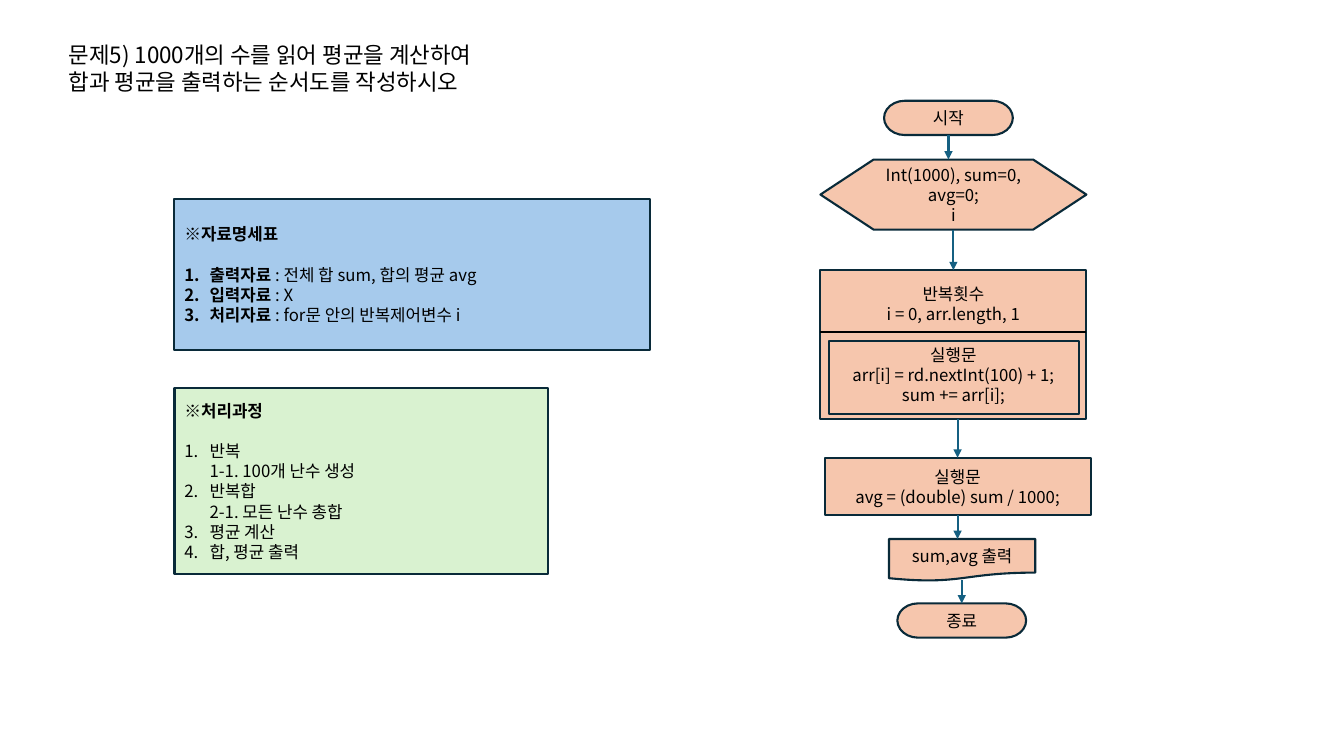
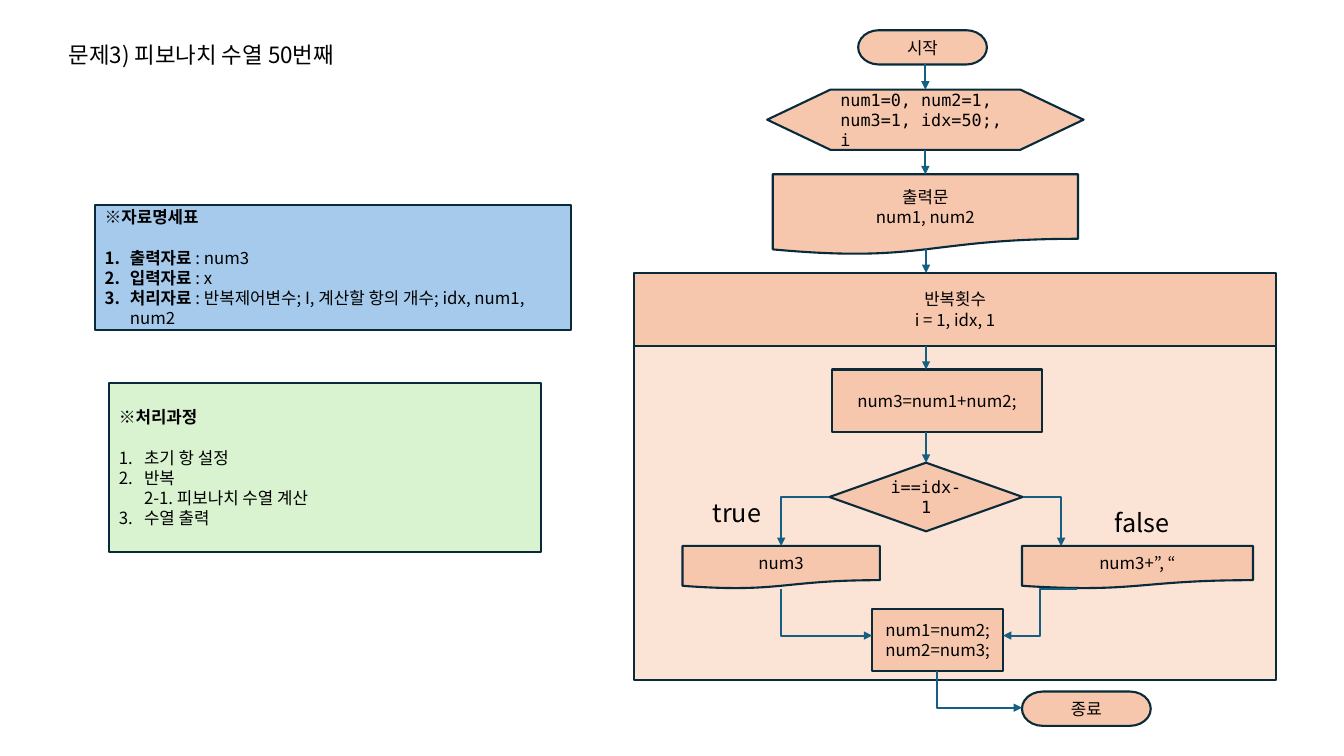
from dataclasses import dataclass

from lxml import etree
from pptx import Presentation
from pptx.dml.color import RGBColor
from pptx.enum.shapes import MSO_CONNECTOR, MSO_SHAPE
from pptx.enum.text import MSO_ANCHOR, MSO_AUTO_SIZE, PP_ALIGN
from pptx.oxml.ns import qn
from pptx.util import Pt

PROCESS = MSO_SHAPE.RECTANGLE
TERMINATOR = MSO_SHAPE.FLOWCHART_TERMINATOR
PREPARATION = MSO_SHAPE.FLOWCHART_PREPARATION
DOCUMENT = MSO_SHAPE.FLOWCHART_DOCUMENT
DECISION = MSO_SHAPE.FLOWCHART_DECISION
STRAIGHT = MSO_CONNECTOR.STRAIGHT
ELBOW = MSO_CONNECTOR.ELBOW
LEFT, CENTER = PP_ALIGN.LEFT, PP_ALIGN.CENTER
TOP, MIDDLE = MSO_ANCHOR.TOP, MSO_ANCHOR.MIDDLE
TOP_SIDE, BOTTOM_SIDE = 0, 2


@dataclass(frozen=True)
class Theme:
    text: RGBColor = RGBColor.from_string("000000")
    outline: RGBColor = RGBColor.from_string("092A39")
    arrow: RGBColor = RGBColor.from_string("156082")
    step: RGBColor = RGBColor.from_string("F6C6AD")
    loop_body: RGBColor = RGBColor.from_string("FBE3D6")
    data: RGBColor = RGBColor.from_string("A6CAEC")
    procedure: RGBColor = RGBColor.from_string("D9F2D0")
    font: str = "Noto Sans CJK KR"
    code_font: str = "DejaVu Sans Mono"
    title_size: float = 16
    label_size: float = 18
    body_size: float = 12
    line_width: float = 1.5
    blank_line: float = 14.5
    indent: float = 18
    terminator_width: float = 92
    terminator_height: float = 24.5


THEME = Theme()


def style_text(frame, size=THEME.body_size, font=THEME.font, align=LEFT, anchor=MIDDLE):
    frame.word_wrap = True
    frame.vertical_anchor = anchor
    for paragraph in frame.paragraphs:
        paragraph.alignment = align
        for line_break in paragraph._p.findall(qn("a:br")):
            etree.SubElement(line_break, qn("a:rPr"), sz=str(int(size * 100)))
        for run in paragraph.runs:
            run.font.size = Pt(size)
            run.font.color.rgb = THEME.text
            run.font.name = font
            etree.SubElement(run._r.get_or_add_rPr(), qn("a:ea"), typeface=font)


def add_title(slide, text, height):
    title = slide.shapes.title
    title.left, title.top = Pt(41.8), Pt(26)
    title.width, title.height = Pt(340), Pt(height)
    title.text_frame.text = text
    title.text_frame.auto_size = MSO_AUTO_SIZE.NONE
    style_text(title.text_frame, THEME.title_size, anchor=TOP)


def add_step(slide, kind, box, text="", fill=THEME.step, font=THEME.font, align=CENTER):
    step = slide.shapes.add_shape(kind, *map(Pt, box))
    step.shadow.inherit = False
    if fill is None:
        step.fill.background()
    else:
        step.fill.solid()
        step.fill.fore_color.rgb = fill
    step.line.color.rgb = THEME.outline
    step.line.width = Pt(THEME.line_width)
    step.text_frame.text = text
    style_text(step.text_frame, font=font, align=align)
    return step


def add_terminator(slide, left, top, text):
    box = (left, top, THEME.terminator_width, THEME.terminator_height)
    return add_step(slide, TERMINATOR, box, text)


def add_card(slide, box, fill, heading, items):
    card = add_step(slide, PROCESS, box, heading, fill, align=LEFT)
    frame = card.text_frame
    frame.paragraphs[0].runs[0].font.bold = True
    frame.paragraphs[0].space_after = Pt(THEME.blank_line)
    for label, detail in items:
        item = frame.add_paragraph()
        item.text = label or detail
        if label:
            item.runs[0].font.bold = True
            item.add_run().text = detail
        properties = item._p.get_or_add_pPr()
        properties.set("marL", str(Pt(THEME.indent)))
        properties.set("indent", str(-Pt(THEME.indent)))
        etree.SubElement(properties, qn("a:buAutoNum"), type="arabicPeriod")
    style_text(frame)


def add_branch_label(slide, left, top, text):
    label = slide.shapes.add_textbox(Pt(left), Pt(top), Pt(75), Pt(29))
    label.text_frame.text = text
    style_text(label.text_frame, THEME.label_size, anchor=TOP)


def add_line(slide, kind, start, end, color=THEME.arrow, arrowhead=True):
    line = slide.shapes.add_connector(kind, *map(Pt, (*start, *end)))
    line.line.color.rgb = color
    line.line.width = Pt(THEME.line_width)
    properties = line._element.spPr
    if arrowhead:
        etree.SubElement(properties.find(qn("a:ln")), qn("a:tailEnd"), type="triangle")
    etree.SubElement(properties, qn("a:effectLst"))
    return line


def add_down_arrow(slide, x, top, bottom, source=None, target=None):
    arrow = add_line(slide, STRAIGHT, (x, top), (x, bottom))
    if source is not None:
        arrow.begin_connect(source, BOTTOM_SIDE)
    if target is not None:
        arrow.end_connect(target, TOP_SIDE)


def add_corner_arrow(slide, start, end, down_first=False):
    arrow = add_line(slide, ELBOW, start, end)
    properties = arrow._element.spPr
    properties.find(qn("a:prstGeom")).set("prst", "bentConnector2")
    if down_first:
        across, down = end[0] - start[0], end[1] - start[1]
        arrow.left = Pt((start[0] + end[0] - down) / 2)
        arrow.top = Pt((start[1] + end[1] - across) / 2)
        arrow.width, arrow.height = Pt(down), Pt(across)
        transform = properties.find(qn("a:xfrm"))
        transform.set("rot", str(270 * 60000))
        transform.set("flipH", "1")


def build_average_slide(slide):
    add_title(slide, "문제5) 1000개의 수를 읽어 평균을 계산하여\n합과 평균을 출력하는 순서도를 작성하시오", 46)
    add_card(slide, (124.6, 142, 340, 108), THEME.data, "※자료명세표", [
        ("출력자료 ", ": 전체 합 sum, 합의 평균 avg"),
        ("입력자료 ", ": X"),
        ("처리자료 ", ": for문 안의 반복제어변수 i"),
    ])
    add_card(slide, (124.6, 277, 267, 133.2), THEME.procedure, "※처리과정", [
        ("", "반복\v1-1. 100개 난수 생성"),
        ("", "반복합\v2-1. 모든 난수 총합"),
        ("", "평균 계산"),
        ("", "합, 평균 출력"),
    ])

    start = add_terminator(slide, 631.5, 72, "시작")
    setup = add_step(slide, PREPARATION, (586, 114, 190, 50), "Int(1000), sum=0, avg=0;\ni")
    loop = add_step(slide, PROCESS, (586, 193, 190, 106),
                    "반복횟수\ni = 0, arr.length, 1\n실행문\narr[i] = rd.nextInt(100) + 1;\nsum += arr[i];")
    loop.text_frame.paragraphs[1].space_after = Pt(THEME.blank_line)
    add_line(slide, STRAIGHT, (586, 237), (776, 237), THEME.text, arrowhead=False)
    add_step(slide, PROCESS, (592, 243.5, 178.5, 52.5), fill=None)
    average = add_step(slide, PROCESS, (589, 327, 190, 41), "실행문\navg = (double) sum / 1000;")
    add_step(slide, DOCUMENT, (635, 385, 104.5, 30), "sum,avg 출력")
    end = add_terminator(slide, 641, 431, "종료")

    add_down_arrow(slide, 677.5, 96.5, 114, source=start)
    add_down_arrow(slide, 681, 164, 193, source=setup, target=loop)
    add_down_arrow(slide, 684, 299, 327, target=average)
    add_down_arrow(slide, 684, 368, 385, source=average)
    add_down_arrow(slide, 687, 414, 431, target=end)


def build_fibonacci_slide(slide):
    add_title(slide, "문제3) 피보나치 수열 50번째", 26.6)
    add_card(slide, (67.7, 146.2, 340, 89.5), THEME.data, "※자료명세표", [
        ("출력자료 ", ": num3"),
        ("입력자료 ", ": x"),
        ("처리자료 ", ": 반복제어변수; I, 계산할 항의 개수; idx, num1, num2"),
    ])
    add_card(slide, (77.8, 273.6, 308.5, 120.5), THEME.procedure, "※처리과정", [
        ("", "초기 항 설정"),
        ("", "반복\v2-1. 피보나치 수열 계산"),
        ("", "수열 출력"),
    ])

    add_step(slide, PROCESS, (453, 204.5, 458.5, 281), fill=THEME.loop_body)
    add_terminator(slide, 613, 21.6, "시작")
    setup = add_step(slide, PREPARATION, (548, 64, 226, 43),
                     "num1=0, num2=1, num3=1, idx=50;, i", font=THEME.code_font, align=LEFT)
    first_output = add_step(slide, DOCUMENT, (552, 124.5, 218, 57.5), "출력문\vnum1, num2")
    add_step(slide, PROCESS, (453, 195, 458.5, 52), "반복횟수\ni = 1, idx, 1")
    add_step(slide, PROCESS, (594, 264, 150.5, 44.5), "num3=num1+num2;")
    last_check = add_step(slide, DECISION, (592.5, 330.5, 138, 49), "i==idx-1", font=THEME.code_font)
    add_step(slide, DOCUMENT, (487.5, 390, 141, 30.5), "num3")
    add_step(slide, DOCUMENT, (730, 390, 165, 30.5), "num3+”, “")
    add_step(slide, PROCESS, (623, 435, 93.5, 44.5), "num1=num2;\nnum2=num3;")
    add_terminator(slide, 730, 494, "종료")
    add_branch_label(slide, 502, 351.4, "true")
    add_branch_label(slide, 789, 358.6, "false")

    add_down_arrow(slide, 661, 46, 64, target=setup)
    add_down_arrow(slide, 661, 107, 124.5, source=setup, target=first_output)
    add_down_arrow(slide, 661.5, 177.5, 195)
    add_down_arrow(slide, 661.5, 247, 264)
    add_down_arrow(slide, 661.5, 308.5, 330.5, target=last_check)
    add_corner_arrow(slide, (592.5, 355), (558, 390))
    add_corner_arrow(slide, (730.5, 355), (758, 390))
    add_corner_arrow(slide, (558, 420.5), (623, 454), down_first=True)
    add_line(slide, ELBOW, (769.5, 420.5), (716.5, 454))
    add_corner_arrow(slide, (669.5, 479.5), (730, 505.5), down_first=True)


def main():
    presentation = Presentation()
    presentation.slide_width, presentation.slide_height = Pt(960), Pt(540)
    title_only = presentation.slide_layouts[5]
    for build in (build_average_slide, build_fibonacci_slide):
        build(presentation.slides.add_slide(title_only))
    presentation.save("out.pptx")


if __name__ == "__main__":
    main()
